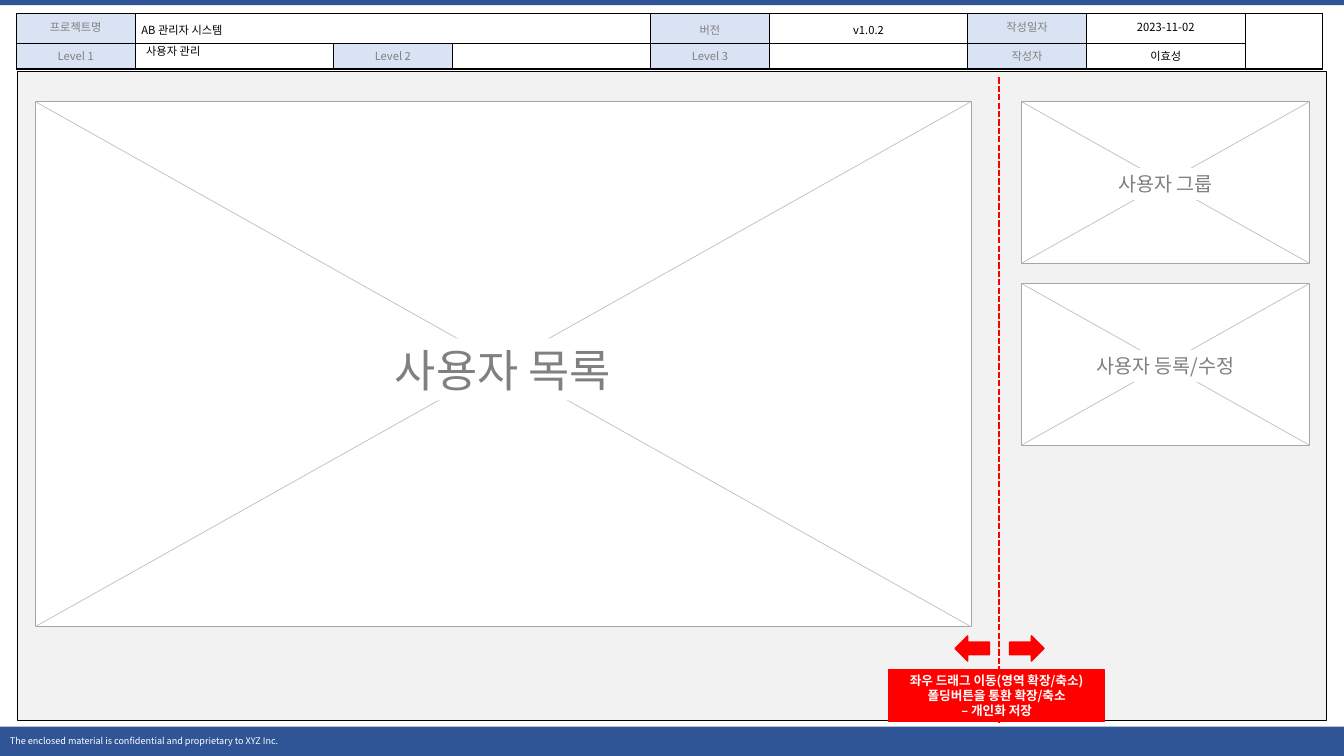
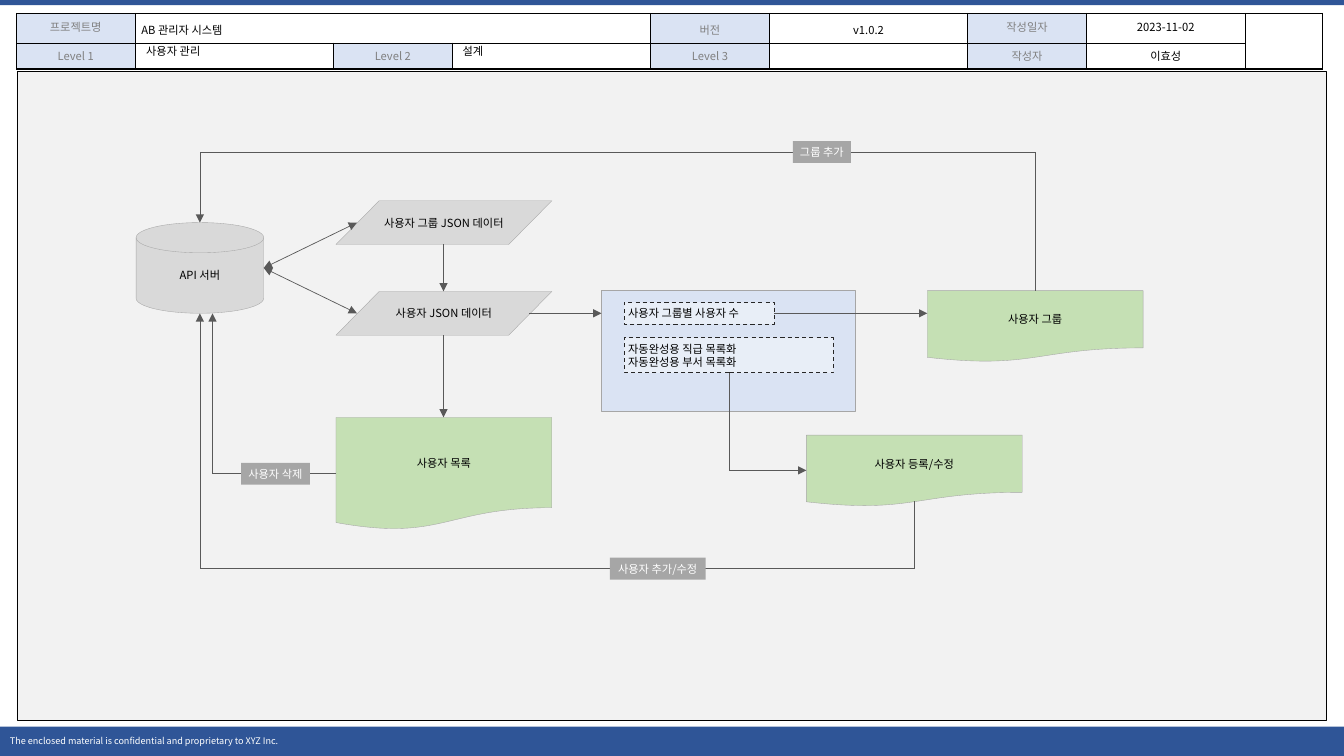
from itertools import pairwise

from lxml import etree
from pptx import Presentation
from pptx.dml.color import RGBColor
from pptx.enum.dml import MSO_LINE
from pptx.enum.shapes import MSO_CONNECTOR, MSO_SHAPE
from pptx.enum.text import MSO_ANCHOR, MSO_AUTO_SIZE, PP_ALIGN
from pptx.oxml.ns import qn
from pptx.util import Inches, Pt

COLUMNS, ROWS = 160, 90
UNIT = Inches(1) / 12
FONT = "Noto Sans CJK KR"
NAVY, PALE_BLUE, GREEN, RED = "2F5597", "DAE3F3", "C5E0B4", "FF0000"
BLACK, WHITE, PANEL, SILVER = "000000", "FFFFFF", "F2F2F2", "D9D9D9"
GRAY, MID_GRAY, LIGHT_GRAY = "808080", "A6A6A6", "BFBFBF"
DARK_GRAY, CHARCOAL = "595959", "262626"

HEADER_COLUMNS = [14.15, 23.6, 14.15, 23.6, 14.15, 23.6, 14.15, 18.9, 9.2]
HEADER_ROWS = [3.1, 2.8]
HEADER_TEXT = [
    ["프로젝트명", "AB 관리자 시스템", "", "", "버전", "v1.0.2", "작성일자", "2023-11-02", ""],
    ["Level 1", "", "Level 2", "", "Level 3", "", "작성자", "이효성", ""],
]
CAPTIONS = {"프로젝트명", "버전", "작성일자", "Level 1", "Level 2", "Level 3", "작성자"}
LOOSE_CELLS = {"AB 관리자 시스템", "버전", "v1.0.2"}


def grid(*lengths):
    """Turn grid columns or rows into slide lengths."""
    return [round(length * UNIT) for length in lengths]


def color(value):
    """Turn a hex string into a colour."""
    return RGBColor.from_string(value)


def add_xml(parent, tag, **attributes):
    """Append a drawing element to its parent."""
    return etree.SubElement(parent, qn(tag), attributes)


def write(frame, text, size=8, ink=BLACK, bold=False, align=PP_ALIGN.CENTER, spacing=None):
    """Fill a text frame and format every run."""
    frame.text = text
    for para in frame.paragraphs:
        para.alignment = align
        para.line_spacing = spacing
        for span in para.runs:
            span.font.size = Pt(size)
            span.font.bold = bold
            span.font.name = FONT
            span.font.color.rgb = color(ink)
            add_xml(span.font._element, "a:ea", typeface=FONT)


def set_margins(frame, margin):
    """Give a text frame the same margin on all sides."""
    frame.margin_left = frame.margin_right = Inches(margin)
    frame.margin_top = frame.margin_bottom = Inches(margin)


def add_box(page, place, fill, kind=MSO_SHAPE.RECTANGLE, line=None, width=0.25):
    """Add a flat preset shape."""
    box = page.shapes.add_shape(kind, *grid(*place))
    box.shadow.inherit = False
    box.fill.solid()
    box.fill.fore_color.rgb = color(fill)
    if line:
        box.line.color.rgb = color(line)
        box.line.width = Pt(width)
    else:
        box.line.fill.background()
    return box


def add_line(page, start, end, ink, width=0.5, dash=None, head=False, tail=False):
    """Add a straight connector with optional arrowheads."""
    connector = page.shapes.add_connector(MSO_CONNECTOR.STRAIGHT, *grid(*start, *end))
    connector.line.color.rgb = color(ink)
    connector.line.width = Pt(width)
    if dash:
        connector.line.dash_style = dash
    properties = connector._element.spPr
    outline = properties.find(qn("a:ln"))
    for wanted, tag in ((head, "a:headEnd"), (tail, "a:tailEnd")):
        if wanted:
            add_xml(outline, tag, type="triangle")
    add_xml(properties, "a:effectLst")


def add_route(page, *points):
    """Join points with lines and end in an arrowhead."""
    for start, end in pairwise(points):
        add_line(page, start, end, DARK_GRAY, tail=end == points[-1])


def add_label(page, place, text, fill, size=8, ink=WHITE):
    """Add a one-line label on a plain block."""
    box = add_box(page, place, fill)
    set_margins(box.text_frame, 0.04)
    box.text_frame.word_wrap = False
    write(box.text_frame, text, size, ink)


def add_node(page, kind, place, text, fill):
    """Add a flowchart symbol with its caption."""
    box = add_box(page, place, fill, kind, MID_GRAY)
    set_margins(box.text_frame, 0)
    write(box.text_frame, text)


def add_note(page, place, text):
    """Add a dashed, see-through note."""
    box = add_box(page, place, WHITE, line=CHARCOAL, width=0.75)
    box.line.dash_style = MSO_LINE.DASH
    fill = box._element.spPr.find(qn("a:solidFill"))
    add_xml(fill[0], "a:alpha", val="40000")
    set_margins(box.text_frame, 0.04)
    write(box.text_frame, text, align=PP_ALIGN.LEFT)


def add_wireframe(page, place, text, label_size, size):
    """Add a crossed area with its name in the middle."""
    left, top, width, height = place
    right, bottom = left + width, top + height
    add_box(page, place, WHITE, line=MID_GRAY)
    add_line(page, (left, top), (right, bottom), LIGHT_GRAY)
    add_line(page, (left, bottom), (right, top), LIGHT_GRAY)
    label_width, label_height = label_size
    label_left = left + (width - label_width) / 2
    label_top = top + height * 0.51 - label_height / 2
    add_label(page, (label_left, label_top, *label_size), text, WHITE, size, GRAY)


def format_cell(cell, text, right, bottom):
    """Style one header cell with its text and borders."""
    cell.margin_left = cell.margin_right = Inches(0.06)
    cell.margin_top = cell.margin_bottom = Inches(0.05)
    align = PP_ALIGN.LEFT if text == HEADER_TEXT[0][1] else PP_ALIGN.CENTER
    spacing = 1.2 if text in LOOSE_CELLS else None
    write(cell.text_frame, text, ink=GRAY if text in CAPTIONS else BLACK, align=align, spacing=spacing)
    if not text:
        add_xml(cell.text_frame.paragraphs[0]._p, "a:endParaRPr", sz="800")
    if text in CAPTIONS:
        cell.fill.solid()
        cell.fill.fore_color.rgb = color(PALE_BLUE)
    else:
        cell.fill.background()
    properties = cell._tc.get_or_add_tcPr()
    borders = {"a:lnL": 0.25, "a:lnR": right, "a:lnT": 0.25, "a:lnB": bottom}
    for index, (tag, width) in enumerate(borders.items()):
        border = add_xml(properties, tag, w=str(Pt(width)))
        add_xml(add_xml(border, "a:solidFill"), "a:srgbClr", val=BLACK)
        properties.insert(index, border)


def add_header(page):
    """Add the document information table."""
    place = grid(1.95, 1.55, sum(HEADER_COLUMNS), sum(HEADER_ROWS))
    table = page.shapes.add_table(len(HEADER_ROWS), len(HEADER_COLUMNS), *place).table
    table.first_row = table.horz_banding = False
    for column, width in zip(table.columns, grid(*HEADER_COLUMNS)):
        column.width = width
    for row, height in zip(table.rows, grid(*HEADER_ROWS)):
        row.height = height
    table.cell(0, 1).merge(table.cell(0, 3))
    table.cell(0, 8).merge(table.cell(1, 8))
    for row, texts in enumerate(HEADER_TEXT):
        for column, text in enumerate(texts):
            cell = table.cell(row, column)
            at_right = column == len(HEADER_COLUMNS) - 1
            at_bottom = row + cell.span_height == len(HEADER_ROWS) or row == 1
            format_cell(cell, text, 1.5 if at_right else 0.25, 1.5 if at_bottom else 0.25)


def write_level(box, left, text):
    """Place a level name in the header table."""
    box.left, box.top, box.width, box.height = grid(left, 4.7, 23.6, 2.9)
    frame = box.text_frame
    frame.word_wrap = True
    frame.auto_size = MSO_AUTO_SIZE.NONE
    frame.vertical_anchor = MSO_ANCHOR.MIDDLE
    write(frame, text, align=PP_ALIGN.LEFT, spacing=0.9)


def add_page(deck, title):
    """Add a slide with the shared bands, header, panel and title."""
    page = deck.slides.add_slide(deck.slide_layouts[5])
    add_box(page, (0, 0, COLUMNS, 0.6), NAVY)
    footer = add_box(page, (0, 86.5, COLUMNS, 3.5), NAVY)
    write(footer.text_frame, "The enclosed material is confidential and proprietary to XYZ Inc.",
          6.5, WHITE, align=PP_ALIGN.LEFT)
    add_header(page)
    add_box(page, (2, 8.5, 155.9, 77.2), PANEL, line=BLACK)
    write_level(page.shapes.title, 16.2, title)
    return page


def add_layout_page(deck):
    """Add the screen layout slide."""
    page = add_page(deck, "사용자 관리")
    add_line(page, (118.9, 9.2), (118.9, 86.1), RED, 1.5, MSO_LINE.SQUARE_DOT)
    for kind, left in ((MSO_SHAPE.LEFT_ARROW, 113.7), (MSO_SHAPE.RIGHT_ARROW, 120.2)):
        add_box(page, (left, 75.7, 4.1, 3), RED, kind, RED, 1)
    guide = add_box(page, (105.8, 79.75, 25.7, 6.15), RED, line=RED, width=1)
    write(guide.text_frame, "좌우 드래그 이동(영역 확장/축소)\n폴딩버튼을 통환 확장/축소\n– 개인화 저장",
          9, WHITE, bold=True)
    add_wireframe(page, (4.2, 12.1, 111.4, 62.5), "사용자 목록", (29.8, 7.4), 32)
    side_areas = (("사용자 그룹", 13.6), ("사용자 등록/수정", 19.2))
    for index, (text, width) in enumerate(side_areas):
        place = (121.6, 12.1 + index * 21.65, 34.3, 19.25)
        add_wireframe(page, place, text, (width, 3.8), 14)


def add_flow_page(deck):
    """Add the data flow slide."""
    page = add_page(deck, "사용자 관리")
    write_level(page.shapes.add_textbox(0, 0, 0, 0), 53.9, "설계")
    data, document = MSO_SHAPE.FLOWCHART_DATA, MSO_SHAPE.FLOWCHART_DOCUMENT
    add_box(page, (71.6, 34.6, 30.2, 14.3), PALE_BLUE, MSO_SHAPE.FLOWCHART_PROCESS, MID_GRAY)
    nodes = (
        (data, (40, 23.9, 25.7, 5.2), "사용자 그룹 JSON 데이터", SILVER),
        (data, (40, 34.7, 25.7, 5.2), "사용자 JSON 데이터", SILVER),
        (MSO_SHAPE.FLOWCHART_MAGNETIC_DISK, (16.2, 26.5, 15.2, 10.8), "API 서버", SILVER),
        (document, (40, 49.7, 25.7, 13.4), "사용자 목록", GREEN),
        (document, (110.4, 34.6, 25.7, 8.5), "사용자 그룹", GREEN),
        (document, (96, 51.8, 25.7, 8.5), "사용자 등록/수정", GREEN),
    )
    for node in nodes:
        add_node(page, *node)
    add_note(page, (74.3, 36, 17.9, 2.6), "사용자 그룹별 사용자 수")
    add_note(page, (74.3, 40.2, 24.9, 4.2), "자동완성용 직급 목록화\n자동완성용 부서 목록화")
    for height in (26.5, 37.3):
        add_line(page, (42.5, height), (31.4, 31.9), DARK_GRAY, head=True, tail=True)
    routes = (
        ((52.8, 29.1), (52.8, 34.7)),
        ((52.8, 39.9), (52.8, 49.7)),
        ((63, 37.3), (71.6, 37.3)),
        ((92.2, 37.3), (110.4, 37.3)),
        ((86.8, 44.4), (86.8, 56), (96, 56)),
        ((123.3, 34.6), (123.3, 18.1), (23.8, 18.1), (23.8, 26.5)),
        ((108.8, 59.7), (108.8, 67.7), (23.8, 67.7), (23.8, 37.3)),
        ((40, 56.4), (25.3, 56.4), (25.3, 37.3)),
    )
    for route in routes:
        add_route(page, *route)
    labels = ((94.4, 16.8, 6.9, "그룹 추가"), (72.6, 66.4, 11.4, "사용자 추가/수정"),
              (28.7, 55.1, 8.2, "사용자 삭제"))
    for left, top, width, text in labels:
        add_label(page, (left, top, width, 2.6), text, MID_GRAY)


def main():
    """Build and save the deck."""
    deck = Presentation()
    deck.slide_width, deck.slide_height = grid(COLUMNS, ROWS)
    add_layout_page(deck)
    add_flow_page(deck)
    deck.save("out.pptx")


if __name__ == "__main__":
    main()
